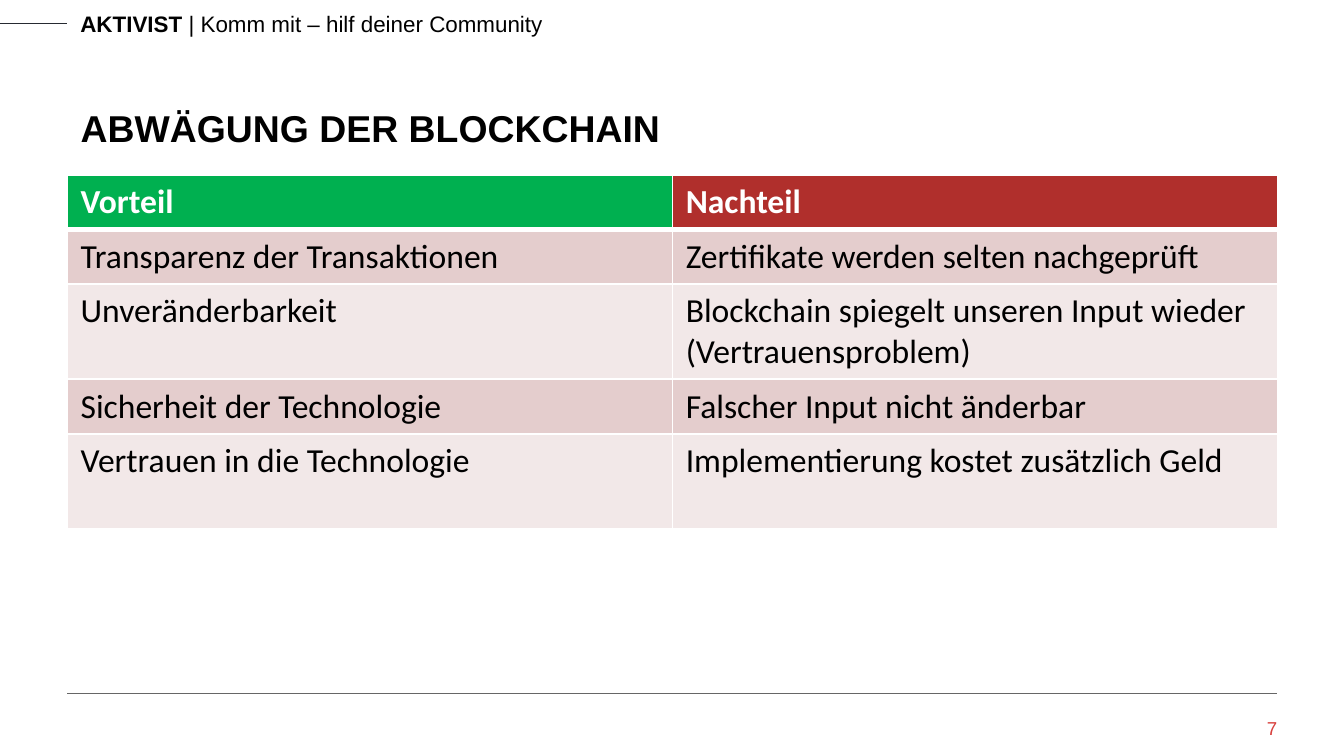
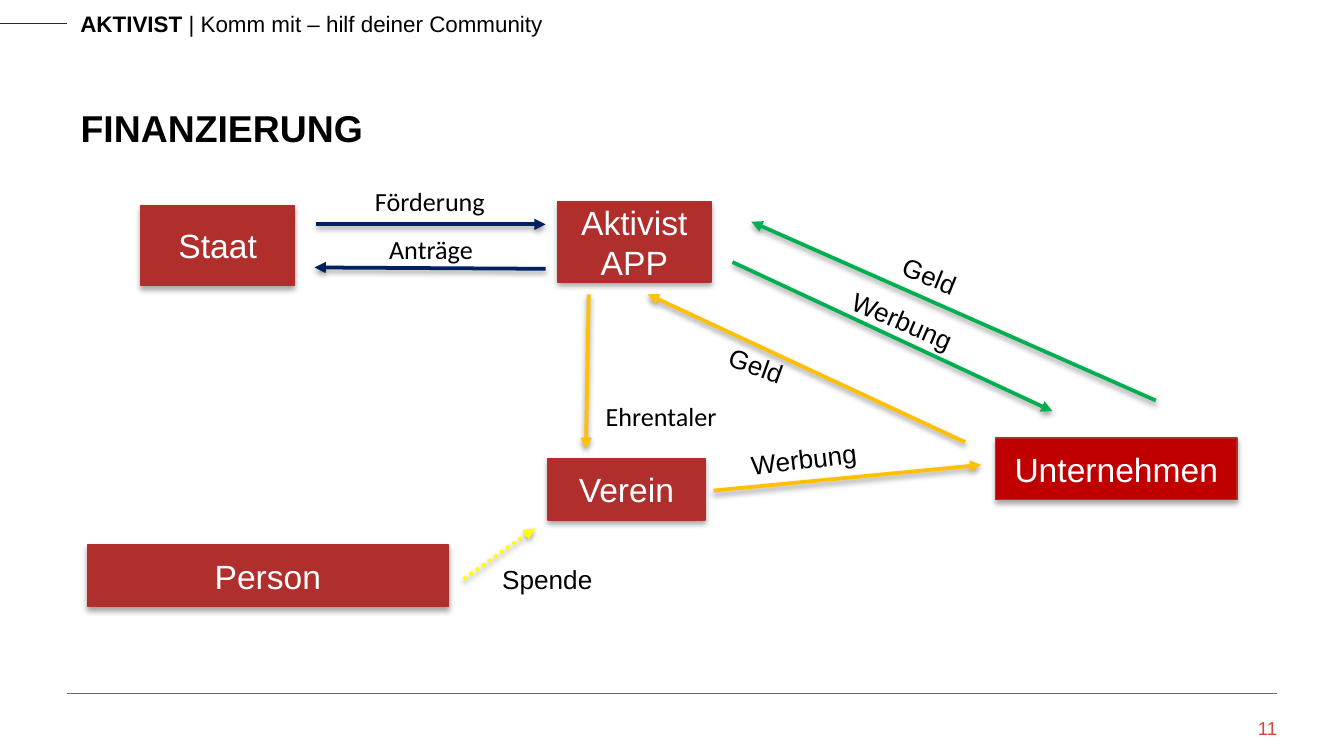
from dataclasses import dataclass

from lxml import etree
from pptx import Presentation
from pptx import util as u
from pptx.dml.color import RGBColor
from pptx.enum import dml, shapes, text
from pptx.oxml.ns import qn

Pt = u.Pt


@dataclass(frozen=True)
class Theme:
    black: str = "000000"
    white: str = "FFFFFF"
    header_rule: str = "262A31"
    footer_rule: str = "666666"
    number: str = "D8413E"
    red: str = "B02F2C"
    company_red: str = "C00000"
    green: str = "00B050"
    blue: str = "002060"
    amber: str = "FFC000"
    yellow: str = "FFFF00"
    band_dark: str = "E4CDCD"
    band_light: str = "F2E8E8"
    sans: str = "Arial"
    body: str = "Calibri"
    title_size: int = 20
    large_size: int = 18
    label_size: int = 14
    header_size: int = 12
    number_size: int = 10


theme = Theme()


def write(frame, content, size, font=theme.sans, color=theme.black, bold=False,
          align=text.PP_ALIGN.LEFT, anchor=text.MSO_ANCHOR.TOP, inset=(7.2, 3.6),
          wrap=True, grow=False):
    """Add a run to the frame's first paragraph and format the frame."""
    frame.word_wrap = wrap
    frame.auto_size = text.MSO_AUTO_SIZE.SHAPE_TO_FIT_TEXT if grow else text.MSO_AUTO_SIZE.NONE
    frame.vertical_anchor = anchor
    frame.margin_left = frame.margin_right = Pt(inset[0])
    frame.margin_top = frame.margin_bottom = Pt(inset[1])
    paragraph = frame.paragraphs[0]
    paragraph.alignment = align
    run = paragraph.add_run()
    run.text = content
    run.font.name, run.font.size, run.font.bold = font, Pt(size), bold
    run.font.color.rgb = RGBColor.from_string(color)


def set_shadow(shape, opacity=0, distance=0):
    """Give the shape a soft shadow below it, or none when opacity is 0."""
    effects = etree.SubElement(shape._element.spPr, qn("a:effectLst"))
    if opacity:
        shadow = etree.SubElement(effects, qn("a:outerShdw"), blurRad=str(Pt(3.1)),
                                  dist=str(Pt(distance)), dir="5400000",
                                  algn="ctr", rotWithShape="0")
        color = etree.SubElement(shadow, qn("a:srgbClr"), val=theme.black)
        etree.SubElement(color, qn("a:alpha"), val=str(opacity * 1000))


presentation = Presentation()
presentation.slide_width, presentation.slide_height = Pt(720), Pt(405)

# Title, header, rules and page number of every slide
slides = []
for heading, number in (("ABWÄGUNG DER BLOCKCHAIN", "7"), ("FINANZIERUNG", "11")):
    slide = presentation.slides.add_slide(presentation.slide_layouts[5])
    slides.append(slide)

    for left, right, top, color in ((0, 36, 12.2, theme.header_rule),
                                    (36, 684, 371.2, theme.footer_rule)):
        rule = slide.shapes.add_connector(shapes.MSO_CONNECTOR.STRAIGHT,
                                          Pt(left), Pt(top), Pt(right), Pt(top))
        rule.line.color.rgb = RGBColor.from_string(color)
        rule.line.width = Pt(0.25)
        set_shadow(rule)

    header = slide.shapes.add_textbox(Pt(36), Pt(1.8), Pt(551.5), Pt(21.6))
    write(header.text_frame, "AKTIVIST ", theme.header_size, bold=True, grow=True)
    write(header.text_frame, "| Komm mit – hilf deiner Community", theme.header_size, grow=True)

    title = slide.shapes.title
    title.left, title.top, title.width, title.height = Pt(36), Pt(24.2), Pt(648.7), Pt(59.8)
    write(title.text_frame, heading, theme.title_size, bold=True, anchor=text.MSO_ANCHOR.BOTTOM)

    page = slide.shapes.add_textbox(Pt(625.9), Pt(384.1), Pt(58.3), Pt(15.8))
    write(page.text_frame, number, theme.number_size, color=theme.number,
          align=text.PP_ALIGN.RIGHT, inset=(0, 0))

comparison_slide, funding_slide = slides

# Advantages and disadvantages
comparison = (
    ("Vorteil", "Nachteil"),
    ("Transparenz der Transaktionen", "Zertifikate werden selten nachgeprüft"),
    ("Unveränderbarkeit", "Blockchain spiegelt unseren Input wieder (Vertrauensproblem)"),
    ("Sicherheit der Technologie", "Falscher Input nicht änderbar"),
    ("Vertrauen in die Technologie", "Implementierung kostet zusätzlich Geld"),
)
row_heights = (29.2, 29.2, 51.1, 29.2, 51.1)
table = comparison_slide.shapes.add_table(len(comparison), 2, Pt(36), Pt(93.7), Pt(648.4),
                                          Pt(sum(row_heights))).table
for row_index, (row, height) in enumerate(zip(comparison, row_heights)):
    table.rows[row_index].height = Pt(height)
    is_header = row_index == 0
    if is_header:
        fills = (theme.green, theme.red)
    else:
        fills = (theme.band_dark if row_index % 2 else theme.band_light,) * 2
    for column_index, (content, fill) in enumerate(zip(row, fills)):
        cell = table.cell(row_index, column_index)
        properties = cell._tc.get_or_add_tcPr()
        for side in "LRTB":
            thick = (is_header and side == "B") or (row_index == 1 and side == "T")
            border = etree.SubElement(properties, qn(f"a:ln{side}"), w=str(Pt(3 if thick else 1)))
            solid = etree.SubElement(border, qn("a:solidFill"))
            etree.SubElement(solid, qn("a:srgbClr"), val=theme.white)
        cell.fill.solid()
        cell.fill.fore_color.rgb = RGBColor.from_string(fill)
        write(cell.text_frame, content, theme.large_size, font=theme.body, bold=is_header,
              color=theme.white if is_header else theme.black)

# Parties of the funding diagram: name, left, top, width, height, fill
parties = (
    ("Verein", 293.5, 245.5, 84.2, 33.1, theme.red),
    ("Aktivist APP", 298.8, 108, 82.1, 43.2, theme.red),
    ("Unternehmen", 533.3, 234.7, 129.4, 33.1, theme.company_red),
    ("Person", 46.8, 292, 193.5, 33.1, theme.red),
    ("Staat", 75.6, 110, 82.1, 43, theme.red),
)
for name, left, top, width, height, fill in parties:
    box = funding_slide.shapes.add_shape(shapes.MSO_SHAPE.RECTANGLE, Pt(left), Pt(top),
                                         Pt(width), Pt(height))
    box.fill.solid()
    box.fill.fore_color.rgb = RGBColor.from_string(fill)
    box.line.color.rgb = RGBColor.from_string(theme.red)
    box.line.width = Pt(0.75)
    set_shadow(box, opacity=35, distance=1.8)
    write(box.text_frame, name, theme.large_size, color=theme.white,
          align=text.PP_ALIGN.CENTER, anchor=text.MSO_ANCHOR.MIDDLE)

# Flows: arrow ends and colour, then label, left, top, width, rotation, font
flows = (
    ((315.4, 157.7, 313.9, 240.5), theme.amber, "Ehrentaler", 324.4, 214.6, 62, 0, theme.body),
    ((517, 236.9, 347, 157.7), theme.amber, "Geld", 390.2, 187.9, 32, 19.9, theme.sans),
    ((382.3, 262.8, 525.6, 249.1), theme.amber, "Werbung", 402.3, 237.4, 57.5, 353.3, theme.sans),
    ((248.4, 310.3, 286.6, 283), theme.yellow, "Spende", 269, 301.7, 51, 0, theme.sans),
    ((292.3, 144, 168.5, 143.3), theme.blue, "Anträge", 208.5, 125.3, 47, 0, theme.body),
    ((169.2, 120.2, 292.3, 120.2), theme.blue, "Förderung", 200.9, 99.4, 61, 0, theme.body),
    ((619.2, 214.6, 402.5, 118.8), theme.green, "Geld", 483.1, 139.7, 32, 22.1, theme.sans),
    ((392.4, 140.4, 563.8, 220.3), theme.green, "Werbung", 455, 163.4, 57.5, 23.2, theme.sans),
)
for ends, color, name, left, top, width, rotation, font in flows:
    arrow = funding_slide.shapes.add_connector(shapes.MSO_CONNECTOR.STRAIGHT, *map(Pt, ends))
    arrow.line.color.rgb = RGBColor.from_string(color)
    arrow.line.width = Pt(2)
    if name == "Spende":
        arrow.line.dash_style = dml.MSO_LINE.ROUND_DOT
    etree.SubElement(arrow.line._get_or_add_ln(), qn("a:tailEnd"), type="triangle")
    set_shadow(arrow, opacity=38, distance=1.6)

    label = funding_slide.shapes.add_textbox(Pt(left), Pt(top), Pt(width), Pt(17))
    label.rotation = rotation
    write(label.text_frame, name, theme.label_size, font=font, inset=(0, 0), wrap=False, grow=True)

presentation.save("out.pptx")
